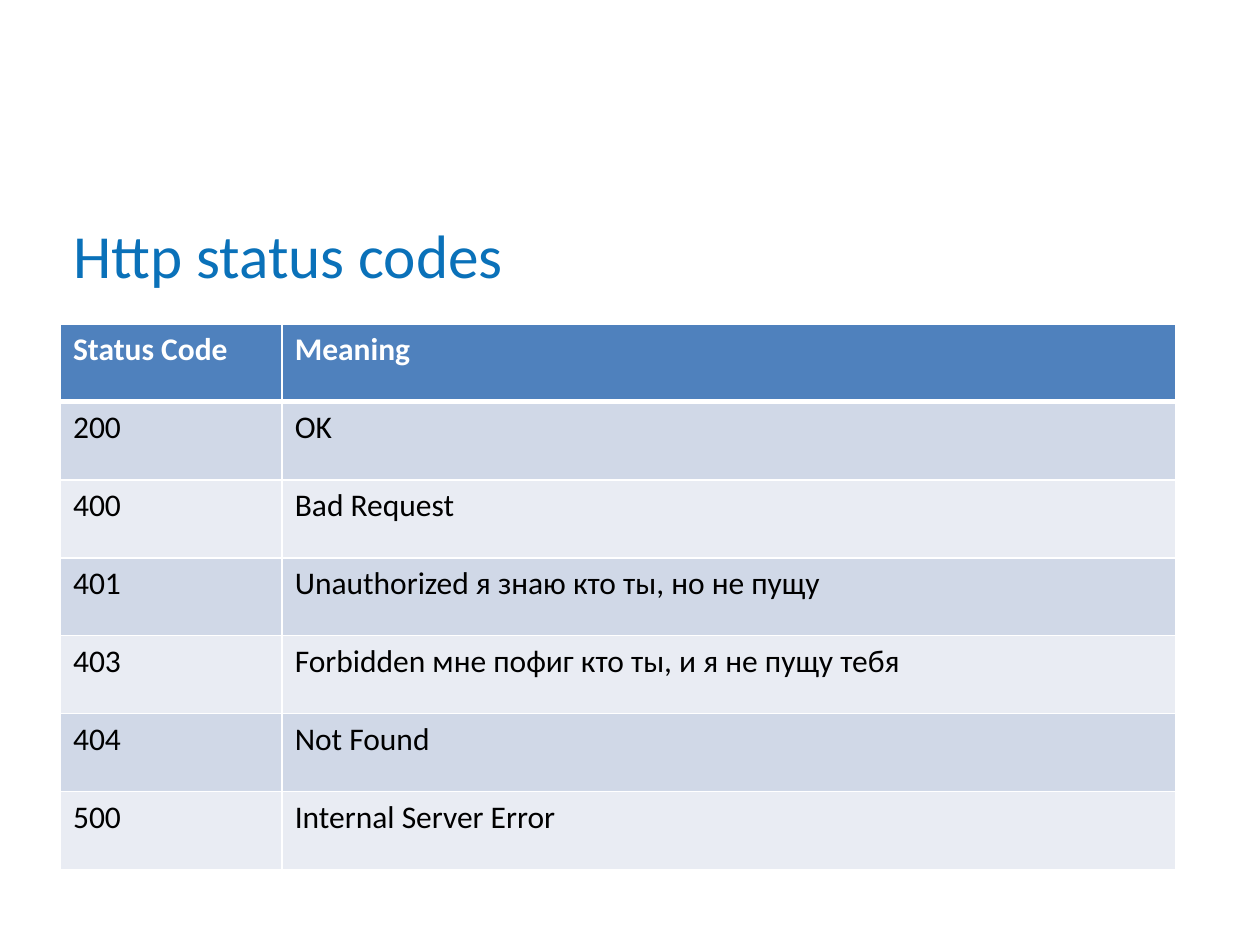
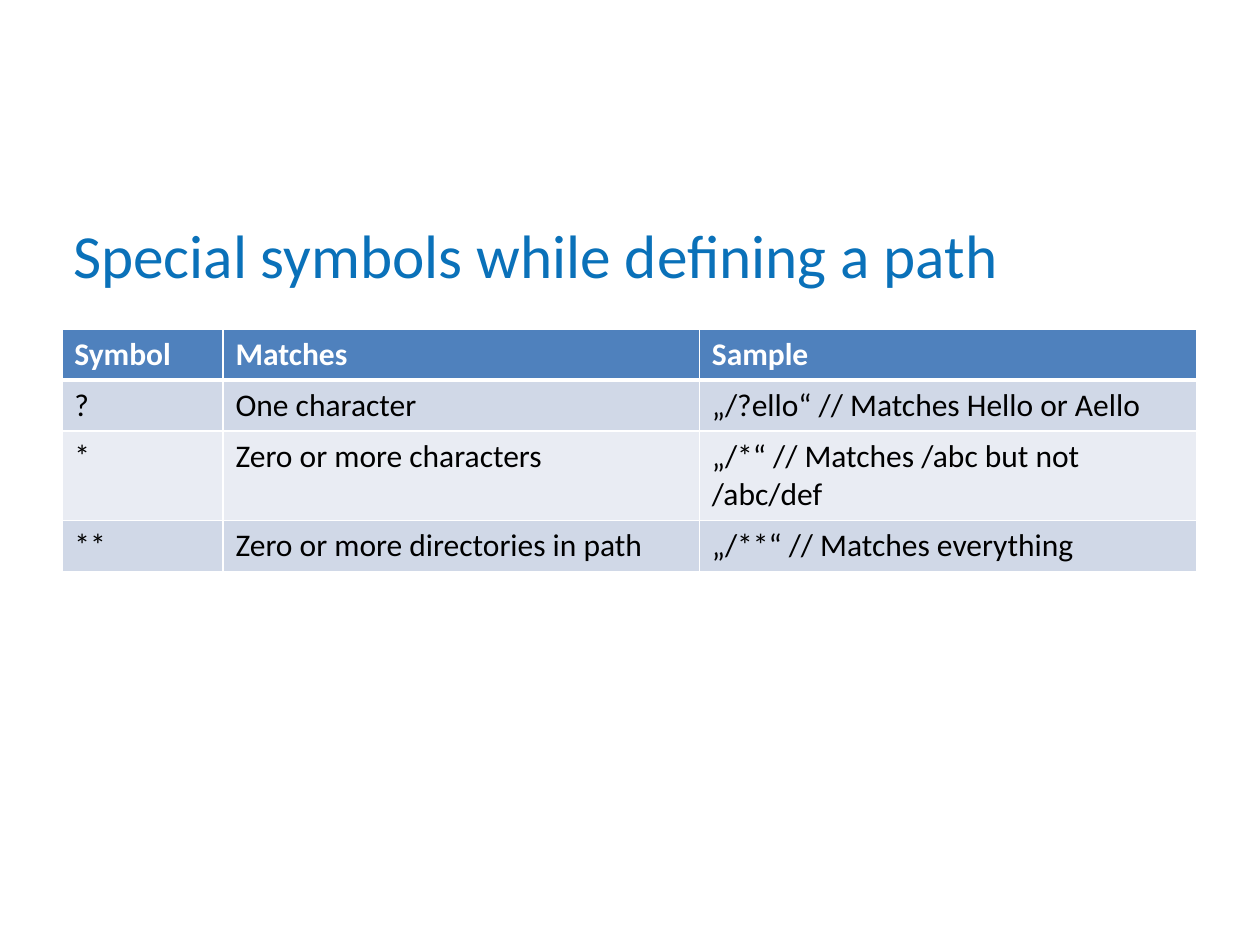
"""Build two reference slides: HTTP status codes and path symbols, each a title over a table."""
from lxml import etree
from pptx import Presentation
from pptx.dml.color import RGBColor
from pptx.enum import text
from pptx.oxml import ns
from pptx.util import Pt

TITLE_BLUE = RGBColor(0x0A, 0x71, 0xB9)
HEADER_BLUE = RGBColor(0x4F, 0x81, 0xBD)
BANDS = (RGBColor(0xD0, 0xD8, 0xE7), RGBColor(0xE9, 0xEC, 0xF3))
WHITE = RGBColor(0xFF, 0xFF, 0xFF)
BLACK = RGBColor(0, 0, 0)
FONT = "Calibri"
TITLE_BOX = (34.56, 79.92, 648, 90)
THIN, THICK = 0.96, 3

SLIDES = [
    {
        "title": "Http status codes",
        "origin": (34.56, 185.04),
        "columns": (126.72, 510.48),
        "heights": (44.57,) * 7,
        "rows": [
            ("Status Code", "Meaning"),
            ("200", "OK"),
            ("400", "Bad Request"),
            ("401", "Unauthorized я знаю кто ты, но не пущу"),
            ("403", "Forbidden мне пофиг кто ты, и я не пущу тебя"),
            ("404", "Not Found"),
            ("500", "Internal Server Error"),
        ],
    },
    {
        "title": "Special symbols while defining a path",
        "origin": (35.28, 187.92),
        "columns": (92.16, 272.16, 284.4),
        "heights": (25.2, 25.2, 43.2, 25.2),
        "rows": [
            ("Symbol", "Matches", "Sample"),
            ("?", "One character", "„/?ello“ // Matches Hello or Aello"),
            ("*", "Zero or more characters", "„/*“ // Matches /abc but not /abc/def"),
            ("**", "Zero or more directories in path", "„/**“ // Matches everything"),
        ],
    },
]


def add_run(p, content, size, color, bold=False):
    r = p.add_run()
    r.text = content
    r.font.name = FONT
    r.font.size = Pt(size)
    r.font.bold = bold
    r.font.color.rgb = color


def set_borders(cell, row):
    tc_pr = cell._tc.get_or_add_tcPr()
    widths = {"L": THIN, "R": THIN,
              "T": THICK if row == 1 else THIN,
              "B": THICK if row == 0 else THIN}
    for side, width in widths.items():
        ln = etree.SubElement(tc_pr, ns.qn("a:ln" + side), w=str(int(Pt(width))))
        fill = etree.SubElement(ln, ns.qn("a:solidFill"))
        etree.SubElement(fill, ns.qn("a:srgbClr"), val=str(WHITE))


def add_title(s, content):
    sp = s.shapes.title
    sp.left, sp.top, sp.width, sp.height = map(Pt, TITLE_BOX)
    tf = sp.text_frame
    tf.word_wrap = True
    tf.auto_size = text.MSO_AUTO_SIZE.NONE
    tf.vertical_anchor = text.MSO_ANCHOR.BOTTOM
    p = tf.paragraphs[0]
    p.alignment = text.PP_ALIGN.LEFT
    add_run(p, content, 35, TITLE_BLUE)


def add_grid(s, rows, origin, columns, heights):
    box = map(Pt, (*origin, sum(columns), sum(heights)))
    table = s.shapes.add_table(len(rows), len(columns), *box).table
    for column, width in zip(table.columns, columns):
        column.width = Pt(width)
    for i, (row, height) in enumerate(zip(rows, heights)):
        table.rows[i].height = Pt(height)
        header = i == 0
        for j, content in enumerate(row):
            cell = table.cell(i, j)
            set_borders(cell, i)
            cell.fill.solid()
            cell.fill.fore_color.rgb = HEADER_BLUE if header else BANDS[(i - 1) % 2]
            add_run(cell.text_frame.paragraphs[0], content, 18,
                    WHITE if header else BLACK, header)


prs = Presentation()
prs.slide_width, prs.slide_height = Pt(720), Pt(540)
for spec_sheet in SLIDES:
    s = prs.slides.add_slide(prs.slide_layouts[5])
    add_title(s, spec_sheet["title"])
    add_grid(s, spec_sheet["rows"], spec_sheet["origin"],
             spec_sheet["columns"], spec_sheet["heights"])
prs.save("out.pptx")
